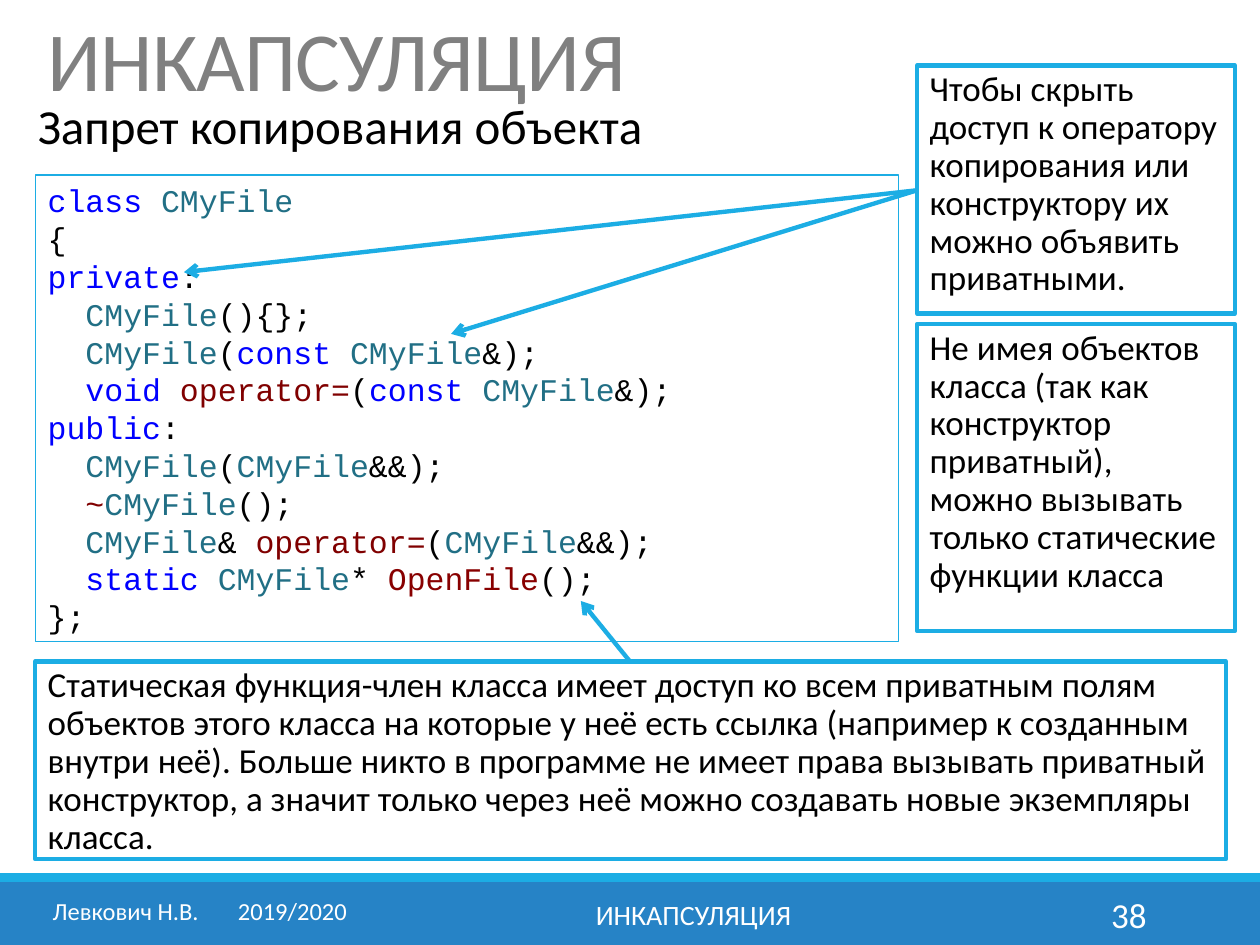
from pptx import Presentation, util as u
from pptx.dml.color import RGBColor
from pptx.enum import shapes, text
from pptx.oxml import ns
from lxml import etree

SKY, BLUE, GRAY, BLACK, WHITE = "1CADE4", "2683C6", "808080", "000000", "FFFFFF"
TYPE, KEY, OPER, CALL = "216F85", "0000FF", "800000", "880000"
HUES = {"CMyFile": TYPE, "operator=": OPER, "  ~": OPER, "OpenFile": CALL}
HUES.update(dict.fromkeys("class private const void public static".split(), KEY))
CODE = """class| |CMyFile
{
private|:
  |CMyFile|(){};
  |CMyFile|(|const| |CMyFile|&);
  |void| |operator=|(|const| |CMyFile|&);
public|:
  |CMyFile|(|CMyFile|&&);
  ~|CMyFile|();
  |CMyFile|& |operator=|(|CMyFile|&&);
  |static| |CMyFile|* |OpenFile|();
};"""
HIDE = ("Чтобы скрыть доступ к оператору копирования или конструктору "
        "их можно объявить приватными.")
CALLS = ("Не имея объектов класса (так как конструктор приватный), "
         "можно вызывать только статические функции класса")
STATIC = ("Статическая функция-член класса имеет доступ ко всем приватным полям "
          "объектов этого класса на которые у неё есть ссылка (например к созданным "
          "внутри неё). Больше никто в программе не имеет права вызывать приватный "
          "конструктор, а значит только через неё можно создавать новые экземпляры "
          "класса.")


def tint(color, hue):
    """Set a colour object from a hex string."""
    color.rgb = RGBColor.from_string(hue)


def place(shape, box):
    """Move a shape to a box given in inches."""
    shape.left, shape.top, shape.width, shape.height = map(u.Inches, box)


def write(shape, words, size, hue, align="LEFT", anchor="TOP", space=None):
    """Put one styled paragraph in a shape and return it."""
    frame = shape.text_frame
    frame.word_wrap = True
    frame.auto_size = text.MSO_AUTO_SIZE.NONE
    frame.vertical_anchor = text.MSO_ANCHOR[anchor]
    para = frame.paragraphs[0]
    para.text = words
    para.alignment = text.PP_ALIGN[align]
    para.space_before = u.Pt(0)
    if space:
        para.line_spacing = space
    para.font.name, para.font.size = "Calibri", u.Pt(size)
    tint(para.font.color, hue)
    return para


def block(slide, box, fill=None, line=None, width=2.5):
    """Add a rectangle with an optional fill and outline."""
    shape = slide.shapes.add_shape(shapes.MSO_SHAPE.RECTANGLE, *map(u.Inches, box))
    shape.shadow.inherit = False
    if fill:
        shape.fill.solid()
        tint(shape.fill.fore_color, fill)
    else:
        shape.fill.background()
    if line:
        tint(shape.line.color, line)
        shape.line.width = u.Pt(width)
    else:
        shape.line.fill.background()
    return shape


def header(slide, box):
    """Place the title and the subtitle from the top left of a box."""
    left, top, width, height = box
    title, body = slide.placeholders
    place(title, box)
    para = write(title, "ИНКАПСУЛЯЦИЯ", 48, GRAY, space=0.85)
    para.runs[0].font._element.set("spc", "-50")
    place(body, (left - 0.08, top + 0.63, 8.71, 0.55))
    para = write(body, "Запрет копирования объекта", 28, BLACK, space=0.9)
    props = para._p.get_or_add_pPr()
    props.set("marL", str(u.Inches(0.5)))
    props.set("indent", str(u.Inches(-0.5)))
    bullet = etree.Element(ns.qn("a:buNone"))
    props.insert_element_before(bullet, "a:tabLst", "a:defRPr", "a:extLst")


def listing(slide, box):
    """Draw the outlined code listing with coloured tokens."""
    frame = block(slide, box, line=SKY, width=0.75).text_frame
    frame.word_wrap = True
    frame.vertical_anchor = text.MSO_ANCHOR.TOP
    for row, line in enumerate(CODE.split("\n")):
        para = frame.add_paragraph() if row else frame.paragraphs[0]
        para.alignment = text.PP_ALIGN.LEFT
        para.line_spacing = u.Pt(21.6)
        para.font.name, para.font.size = "Courier New", u.Pt(18)
        for token in line.split("|"):
            run = para.add_run()
            run.text = token
            tint(run.font.color, HUES.get(token, BLACK))


def note(slide, box, words):
    """Draw an outlined note."""
    write(block(slide, box, line=SKY), words, 20, BLACK, space=0.9)


def arrow(slide, start, end):
    """Draw an arrow between two points in inches."""
    line = slide.shapes.add_connector(shapes.MSO_CONNECTOR.STRAIGHT,
                                      *map(u.Inches, start + end))
    tint(line.line.color, SKY)
    line.line.width = u.Pt(2.5)
    etree.SubElement(line.line._get_or_add_ln(), ns.qn("a:tailEnd"), type="arrow")
    etree.SubElement(line._element.spPr, ns.qn("a:effectLst"))


def footer(slide, box):
    """Draw the bottom band with author, topic and number."""
    left, top, width, height = box
    block(slide, (left, top + 0.07, width, height - 0.07), fill=BLUE)
    block(slide, (left, top, width, 0.07), fill=SKY)
    parts = [
        (0.32, 2.61, "Левкович Н.В.\t2019/2020", 14, "LEFT", "TOP"),
        (3.02, 4.97, "ИНКАПСУЛЯЦИЯ", 16, "CENTER", "MIDDLE"),
        (8.12, 1.08, "38", 20, "RIGHT", "MIDDLE"),
    ]
    for shift, wide, words, size, align, anchor in parts:
        area = slide.shapes.add_textbox(
            *map(u.Inches, (left + shift, top + 0.13, wide, 0.4)))
        para = write(area, words, size, WHITE, align, anchor)
        if "\t" in words:
            tabs = etree.Element(ns.qn("a:tabLst"))
            etree.SubElement(tabs, ns.qn("a:tab"), pos=str(u.Inches(1.47)), algn="l")
            para._p.get_or_add_pPr().insert_element_before(
                tabs, "a:defRPr", "a:extLst")


def main():
    """Build and save the slide."""
    deck = Presentation()
    deck.slide_width, deck.slide_height = u.Inches(10), u.Inches(7.5)
    slide = deck.slides.add_slide(deck.slide_layouts[1])
    footer(slide, (0, 6.93, 10, 0.57))
    header(slide, (0.28, 0.13, 9.45, 1.02))
    listing(slide, (0.28, 1.39, 6.85, 3.7))
    note(slide, (0.28, 5.25, 9.45, 1.57), STATIC)
    note(slide, (7.28, 2.57, 2.52, 2.44), CALLS)
    note(slide, (7.28, 0.52, 2.52, 1.97), HIDE)
    arrow(slide, (5, 5.25), (4.61, 4.77))
    for end in ((3.58, 2.65), (1.46, 2.16)):
        arrow(slide, (7.28, 1.51), end)
    deck.save("out.pptx")


if __name__ == "__main__":
    main()
